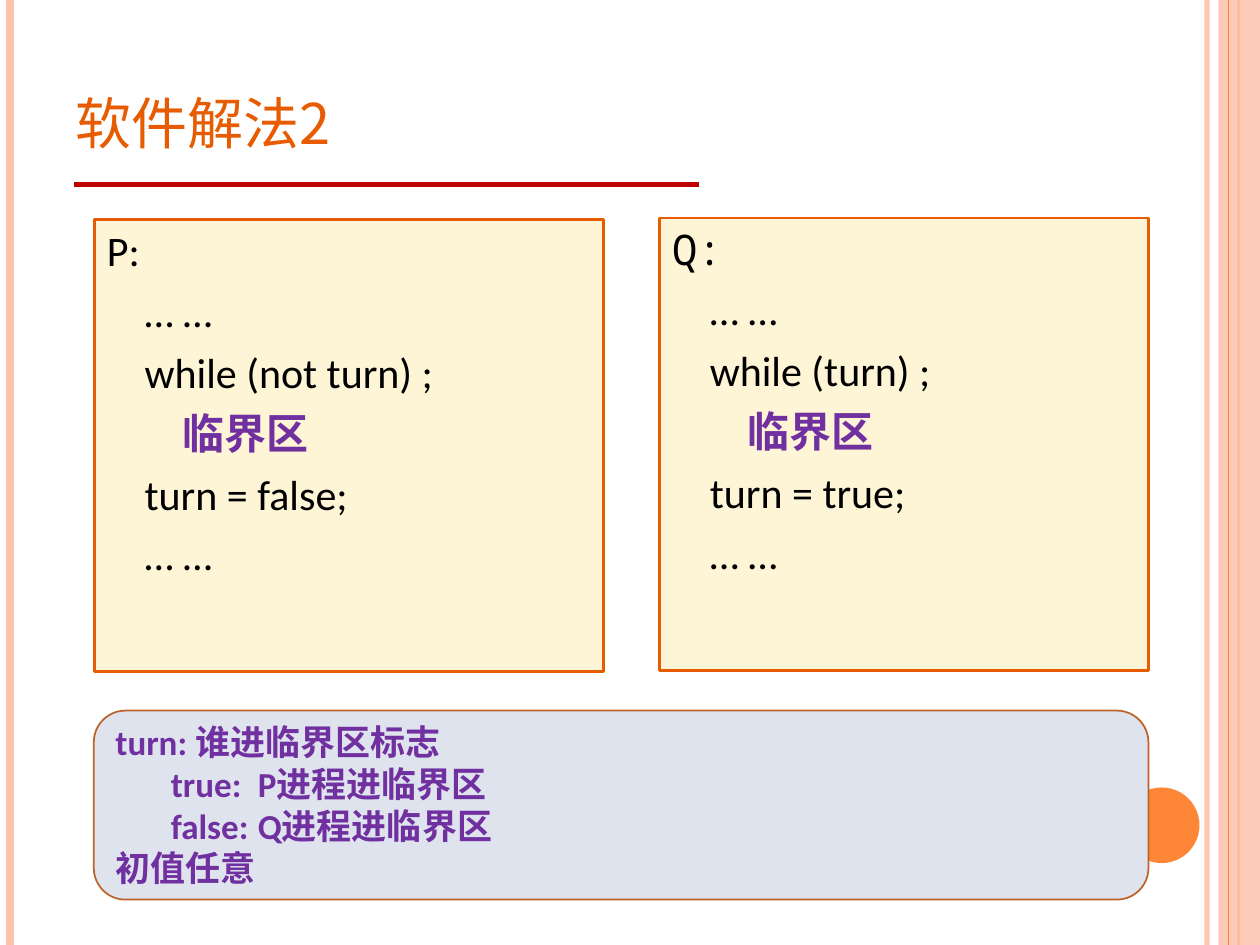
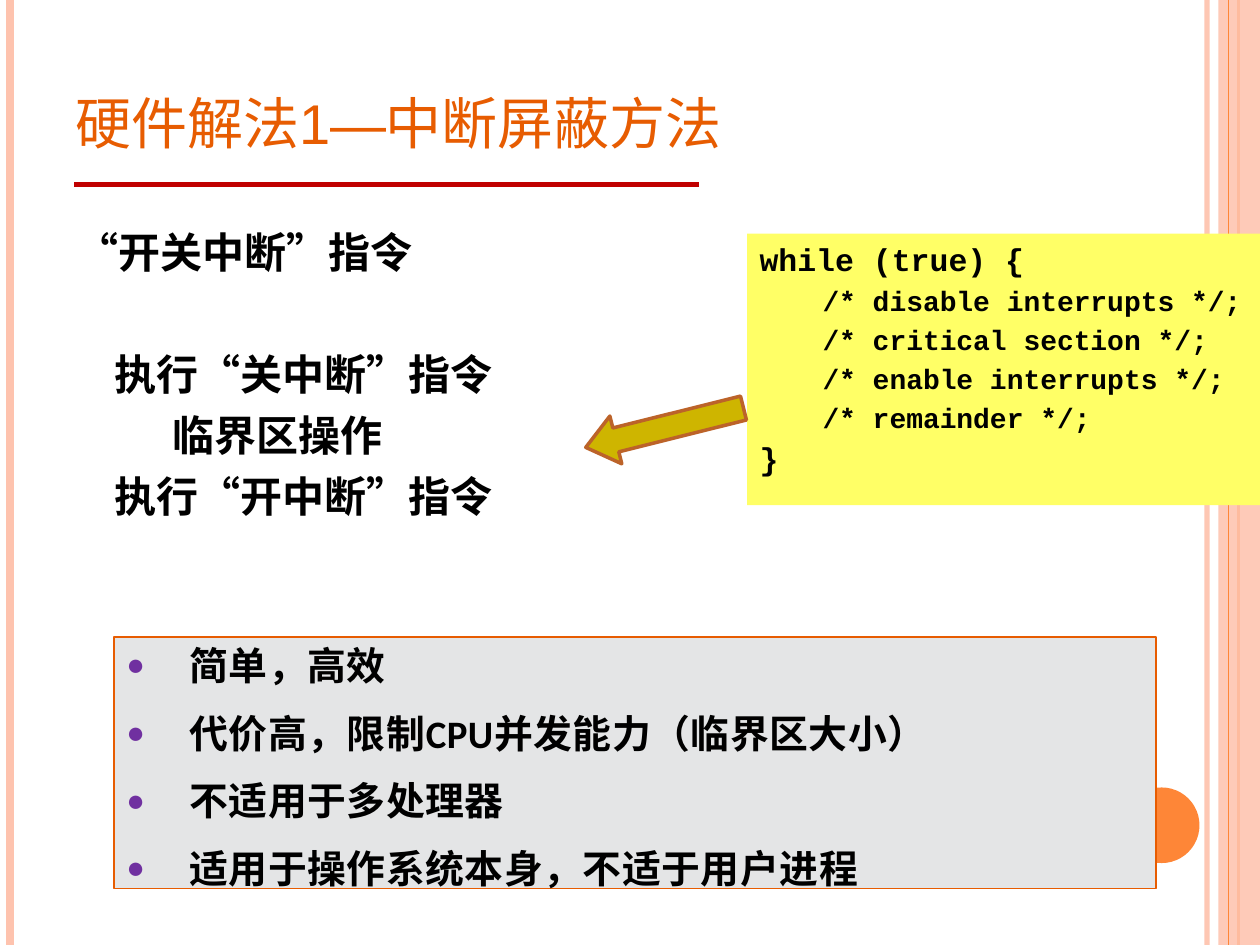
from dataclasses import dataclass
from typing import Optional, Sequence

from lxml import etree
from pptx import Presentation
from pptx.dml.color import RGBColor
from pptx.enum.shapes import MSO_CONNECTOR, MSO_SHAPE
from pptx.enum.text import MSO_ANCHOR, MSO_AUTO_SIZE, PP_ALIGN
from pptx.oxml.ns import qn
from pptx.util import Inches, Pt

# Enum members
STRAIGHT = MSO_CONNECTOR.STRAIGHT
RECTANGLE, ROUNDED = MSO_SHAPE.RECTANGLE, MSO_SHAPE.ROUNDED_RECTANGLE
OVAL, DOWN_ARROW = MSO_SHAPE.OVAL, MSO_SHAPE.DOWN_ARROW
TOP, MIDDLE, BOTTOM = MSO_ANCHOR.TOP, MSO_ANCHOR.MIDDLE, MSO_ANCHOR.BOTTOM
LEFT, NO_FIT = PP_ALIGN.LEFT, MSO_AUTO_SIZE.NONE

# Grid of 100 columns by 75 rows
COLUMNS, ROWS = 100, 75
CELL = Inches(10) // COLUMNS

# Colours
BLACK = RGBColor(0x00, 0x00, 0x00)
PURPLE = RGBColor(0x70, 0x30, 0xA0)
TITLE_ORANGE = RGBColor(0xE7, 0x5C, 0x01)
ORANGE = RGBColor(0xFE, 0x86, 0x37)
PEACH = RGBColor(0xFE, 0xC3, 0xAE)
RULE_RED = RGBColor(0xC0, 0x00, 0x00)
BROWN = RGBColor(0xBC, 0x63, 0x29)
CREAM = RGBColor(0xFD, 0xF5, 0xD5)
PALE_BLUE = RGBColor(0xDF, 0xE3, 0xEE)
PALE_GREY = RGBColor(0xE4, 0xE5, 0xE6)
YELLOW = RGBColor(0xFF, 0xFF, 0x66)
GOLD = RGBColor(0xCE, 0xB5, 0x00)

# Fonts
HAN, LATIN, ARIAL = "Noto Sans CJK SC", "Calibri", "Arial"
CODE, MONO = "Courier New", "Noto Sans Mono"


@dataclass(frozen=True)
class Area:
    """A place on the grid, in columns and rows."""
    left: float
    top: float
    width: float
    height: float


@dataclass(frozen=True)
class Rule:
    """A straight line between two grid points."""
    start: tuple[float, float]
    end: tuple[float, float]
    color: RGBColor
    weight: float
    opacity: int = 100


@dataclass(frozen=True)
class Line:
    """One paragraph; indent and hanging are in columns."""
    text: str
    indent: float = 0
    hanging: float = 0
    size: float = 24
    font: str = LATIN
    color: RGBColor = BLACK
    bold: bool = False
    before: float = 6
    leading: float = 1.2
    tracking: float = 0
    bullet: Optional[RGBColor] = None


@dataclass(frozen=True)
class Panel:
    """A filled shape, with or without text."""
    area: Area
    fill: RGBColor
    outline: Optional[RGBColor] = None
    weight: float = 1
    kind: int = RECTANGLE
    anchor: int = TOP
    opacity: int = 100
    lines: Sequence[Line] = ()
    inset: float = 0.4


# Marks on every slide
LEFT_RULES = (Rule((95.8, 0), (95.8, ROWS), PEACH, 3, 93),
              Rule((0.8, 0), (0.8, ROWS), PEACH, 4.5),
              Rule((98.3, 0), (98.3, ROWS), ORANGE, 1.5))
BAND = Panel(Area(96.7, 0, 3.3, ROWS), PEACH, opacity=87)
BAND_RULE = Rule((97.5, 0), (97.5, ROWS), ORANGE, 0.75)
DISC = Panel(Area(89.2, 62.5, 6, 6), ORANGE, kind=OVAL)
TITLE_RULE = Rule((5.9, 14.65), (55.5, 14.65), RULE_RED, 3)
TITLE_AREA = Area(5, 3, 81.7, 10.1)


def grid(cells: float) -> int:
    return round(cells * CELL)


def place(shape, area: Area) -> None:
    shape.left, shape.top = grid(area.left), grid(area.top)
    shape.width, shape.height = grid(area.width), grid(area.height)


def set_opacity(holder, percent: int) -> None:
    if percent < 100:
        color = next(holder.iter(qn("a:srgbClr")))
        etree.SubElement(color, qn("a:alpha"), val=str(percent * 1000))


def add_span(para, text: str, *, size: float, font: str, color: RGBColor,
             bold: bool = False, small_caps: bool = False,
             tracking: float = 0) -> None:
    span = para.add_run()
    span.text = text
    span.font.size, span.font.bold, span.font.name = Pt(size), bold, font
    span.font.color.rgb = color
    properties = span._r.get_or_add_rPr()
    etree.SubElement(properties, qn("a:ea"), typeface=HAN)
    if small_caps:
        properties.set("cap", "small")
    if tracking:
        properties.set("spc", str(round(tracking * 100)))


def set_bullet(para, color: Optional[RGBColor]) -> None:
    properties = para._p.get_or_add_pPr()
    if color is None:
        etree.SubElement(properties, qn("a:buNone"))
        return
    holder = etree.SubElement(properties, qn("a:buClr"))
    etree.SubElement(holder, qn("a:srgbClr"), val=str(color))
    etree.SubElement(properties, qn("a:buSzPct"), val="80000")
    etree.SubElement(properties, qn("a:buFont"), typeface=ARIAL)
    etree.SubElement(properties, qn("a:buChar"), char="●")


def write_lines(shape, lines: Sequence[Line], anchor: int = TOP,
                inset: float = 0.4) -> None:
    frame = shape.text_frame
    frame.word_wrap, frame.auto_size = True, NO_FIT
    frame.vertical_anchor = anchor
    frame.margin_top = grid(inset)
    for index, line in enumerate(lines):
        para = frame.add_paragraph() if index else frame.paragraphs[0]
        set_bullet(para, line.bullet)
        properties = para._p.get_or_add_pPr()
        properties.set("marL", str(grid(line.indent)))
        properties.set("indent", str(grid(-line.hanging)))
        para.alignment = LEFT
        para.line_spacing = Pt(line.size * line.leading)
        para.space_before = Pt(line.before if index else 0)
        add_span(para, line.text, size=line.size, font=line.font,
                 color=line.color, bold=line.bold, tracking=line.tracking)


def add_panel(page, panel: Panel):
    area = panel.area
    shape = page.shapes.add_shape(panel.kind, *map(
        grid, (area.left, area.top, area.width, area.height)))
    shape.shadow.inherit = False
    shape.fill.solid()
    shape.fill.fore_color.rgb = panel.fill
    set_opacity(shape._element.spPr, panel.opacity)
    if panel.outline is None:
        shape.line.fill.background()
    else:
        shape.line.color.rgb = panel.outline
        shape.line.width = Pt(panel.weight)
    if panel.lines:
        write_lines(shape, panel.lines, panel.anchor, panel.inset)
    return shape


def add_rule(page, rule: Rule) -> None:
    line = page.shapes.add_connector(STRAIGHT, *map(grid, rule.start + rule.end))
    line.line.color.rgb = rule.color
    line.line.width = Pt(rule.weight)
    set_opacity(line._element.spPr, rule.opacity)
    etree.SubElement(line._element.spPr, qn("a:effectLst"))


def add_page(deck, layout: int, title: Sequence[tuple[str, str]]):
    """Add a slide with the shared marks and its title."""
    page = deck.slides.add_slide(deck.slide_layouts[layout])
    for rule in LEFT_RULES:
        add_rule(page, rule)
    add_panel(page, BAND)
    add_rule(page, BAND_RULE)
    add_panel(page, DISC)
    add_rule(page, TITLE_RULE)
    box = page.shapes.title
    place(box, TITLE_AREA)
    frame = box.text_frame
    frame.word_wrap, frame.auto_size = True, NO_FIT
    frame.vertical_anchor = BOTTOM
    para = frame.paragraphs[0]
    para.alignment = LEFT
    for text, font in title:
        add_span(para, text, size=40, font=font, color=TITLE_ORANGE, small_caps=True)
    return page


def process_panel(area: Area, name: Line, wait: str, release: str) -> Panel:
    step = 3
    dots = Line("… …", step)
    lines = (name, dots, Line(wait, step),
             Line("临界区", 2 * step, color=PURPLE, bold=True),
             Line(release, step), dots)
    return Panel(area, CREAM, TITLE_ORANGE, 1.5, lines=lines)


def build_software_page(deck) -> None:
    page = add_page(deck, 5, [("软件解法2", HAN)])
    # The two processes
    add_panel(page, process_panel(Area(7.5, 17.4, 40.4, 35.9), Line("P:"),
                                  "while (not turn) ;", "turn = false;"))
    add_panel(page, process_panel(Area(52.35, 17.3, 38.8, 35.9), Line("Q:", font=MONO),
                                  "while (turn) ;", "turn = true;"))
    # Meaning of the flag
    note = {"size": 20, "color": PURPLE, "bold": True, "before": 0}
    value = {"indent": 11.3, "hanging": 6.9}
    lines = (Line("turn: 谁进临界区标志", **note),
             Line("true:\tP进程进临界区", **value, **note),
             Line("false:\tQ进程进临界区", **value, **note),
             Line("初值任意", **note))
    add_panel(page, Panel(Area(7.45, 56.4, 83.7, 15), PALE_BLUE, BROWN, 1,
                          ROUNDED, MIDDLE, lines=lines))


def build_hardware_page(deck) -> None:
    page = add_page(deck, 1, [("硬件解法", HAN), ("1—", ARIAL),
                              ("中断屏蔽方法", HAN)])
    # Instruction steps
    body = page.placeholders[1]
    place(body, Area(5.1, 17.6, 84, 32.5))
    steps = (("“开关中断”指令", 0, 0), ("执行“关中断”指令", 3, 41),
             ("临界区操作", 7.6, 6), ("执行“开中断”指令", 3, 6))
    write_lines(body, [Line(text, indent, font=HAN, bold=True, before=before)
                       for text, indent, before in steps])
    # Assessment
    remarks = ("简单，高效", "代价高，限制CPU并发能力（临界区大小）",
               "不适用于多处理器", "适用于操作系统本身，不适于用户进程")
    add_panel(page, Panel(
        Area(9.05, 50.55, 82.7, 20), PALE_GREY, TITLE_ORANGE, 0.75,
        lines=[Line(text, 5, 5, size=22.2, bold=True, before=12,
                    tracking=0.3, bullet=PURPLE) for text in remarks]))
    # Code, with the arrow to the steps
    code = (("while (true) {", 0, 18), ("/* disable interrupts */;", 5, 16),
            ("/* critical section */;", 5, 16), ("/* enable interrupts */;", 5, 16),
            ("/* remainder */;", 5, 16), ("}", 0, 18))
    add_panel(page, Panel(
        Area(59.3, 18.55, 40.7, 21.55), YELLOW, inset=0.7,
        lines=[Line(text, indent, size=size, font=CODE, bold=True, before=4.2,
                    leading=1.13) for text, indent, size in code]))
    arrow = add_panel(page, Panel(Area(50.8, 27.5, 3.9, 12.9), GOLD, BROWN, 2,
                                  DOWN_ARROW))
    arrow.rotation = 76
    arrow.adjustments[0], arrow.adjustments[1] = 0.5, 0.63


def main() -> None:
    deck = Presentation()
    deck.slide_width, deck.slide_height = grid(COLUMNS), grid(ROWS)
    build_software_page(deck)
    build_hardware_page(deck)
    deck.save("out.pptx")


if __name__ == "__main__":
    main()
